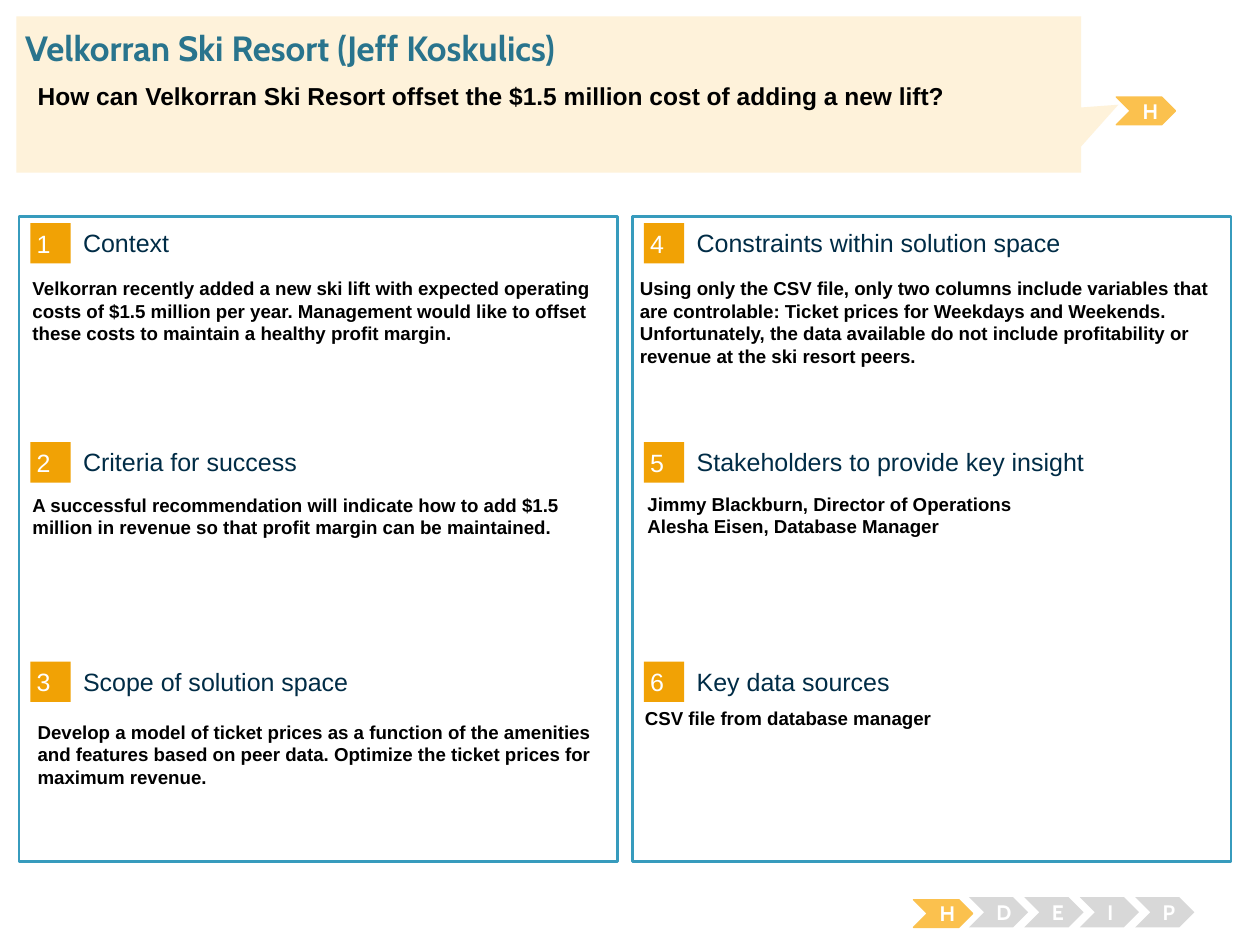
from pptx import Presentation, util as u
from pptx.dml.color import RGBColor
from pptx.enum import shapes, text

SHAPE = shapes.MSO_SHAPE
TEXT_INSETS = (0.1, 0.05, 0.1, 0.05)
AMBER, GREY = "FBC14E", "D8D8D8"
RESORT = "Velkorran Ski Resort"

# Each section: number, heading, body lines, body offset (x, y) from its panel cell, body height
PANELS = [
    [
        ("1", "Context",
         ["Velkorran recently added a new ski lift with expected operating costs of "
          "$1.5 million per year. Management would like to offset these costs to "
          "maintain a healthy profit margin."], (0.01, 0.43), 1.36),
        ("2", "Criteria for success",
         ["A successful recommendation will indicate how to add $1.5 million in revenue "
          "so that profit margin can be maintained."], (0.01, 0.41), 1.54),
        ("3", "Scope of solution space",
         ["Develop a model of ticket prices as a function of the amenities and features "
          "based on peer data. Optimize the ticket prices for maximum revenue."],
         (0.05, 0.47), 0.82),
    ],
    [
        ("4", "Constraints within solution space",
         ["Using only the CSV file, only two columns include variables that are "
          "controlable: Ticket prices for Weekdays and Weekends. Unfortunately, the data "
          "available do not include profitability or revenue at the ski resort peers."],
         (-0.04, 0.43), 1.18),
        ("5", "Stakeholders to provide key insight",
         ["Jimmy Blackburn, Director of Operations", "Alesha Eisen, Database Manager"],
         (0.02, 0.4), 1.18),
        ("6", "Key data sources", ["CSV file from database manager"], (0, 0.36), 1.18),
    ],
]


def colour(code):
    """Turn a hex string into a colour."""
    return RGBColor.from_string(code)


def write(shape, lines, size, code, font="Arial", bold=False, align="LEFT",
          anchor="TOP", insets=TEXT_INSETS):
    """Write lines into a shape, one paragraph each."""
    frame = shape.text_frame
    frame.word_wrap = True
    frame.auto_size = text.MSO_AUTO_SIZE.NONE
    frame.vertical_anchor = text.MSO_ANCHOR[anchor]
    (frame.margin_left, frame.margin_top,
     frame.margin_right, frame.margin_bottom) = map(u.Inches, insets)
    for index, line in enumerate(lines):
        para = frame.add_paragraph() if index else frame.paragraphs[0]
        para.alignment = text.PP_ALIGN[align]
        span = para.add_run()
        span.text = line
        span.font.size, span.font.name, span.font.bold = u.Pt(size), font, bold
        span.font.color.rgb = colour(code)


def add_text(page, box, lines, size, code, **style):
    """Add a text box at box (left, top, width, height)."""
    write(page.shapes.add_textbox(*map(u.Inches, box)), lines, size, code, **style)


def add_block(page, kind, box, fill, line=None, weight=0.75):
    """Add a flat preset shape and return it."""
    shape = page.shapes.add_shape(kind, *map(u.Inches, box))
    shape.shadow.inherit = False
    shape.fill.solid()
    shape.fill.fore_color.rgb = colour(fill)
    if line:
        shape.line.color.rgb = colour(line)
        shape.line.width = u.Pt(weight)
    else:
        shape.line.fill.background()
    return shape


def add_step(page, left, top, letter, active=False):
    """Add one lettered chevron, amber when active."""
    box = (left, top, 0.47, 0.22 if active else 0.24)
    fill = AMBER if active else GREY
    step = add_block(page, SHAPE.CHEVRON, box, fill, AMBER if active else None)
    write(step, [letter], 12, "FFFFFF", font="Cabin", bold=True,
          align="CENTER", anchor="MIDDLE")


def add_section(page, left, top, section):
    """Add a numbered heading and its body below a panel cell's top left corner."""
    number, heading, lines, (shift, drop), height = section
    badge = add_block(page, SHAPE.RECTANGLE, (left + 0.09, top + 0.05, 0.32, 0.32), "F1A205")
    write(badge, [number], 14.3, "FFFFFF", anchor="MIDDLE", insets=(0.05,) * 4)
    add_text(page, (left + 0.51, top + 0.08, 3.93, 0.25), [heading], 14.3, "002C46",
             anchor="MIDDLE", insets=(0,) * 4)
    add_text(page, (left + shift, top + drop, 4.73, height), lines, 10.7, "000000", bold=True)


def add_panel(page, box, sections):
    """Add an outlined panel with its sections evenly spaced."""
    left, top, _, _ = box
    add_block(page, SHAPE.RECTANGLE, box, "FFFFFF", "379BBD", 1.5)
    for row, section in enumerate(sections):
        add_section(page, left, top + row * 1.74, section)


def add_header(page, box):
    """Add the callout with the title, the question and the current step."""
    left, top, width, _ = box
    add_step(page, left + width + 0.28, top + 0.64, "H", active=True)
    callout = add_block(page, SHAPE.RECTANGULAR_CALLOUT, box, "FEF2DA")
    callout.adjustments[0], callout.adjustments[1] = 0.535, 0.066
    add_text(page, (left + 0.07, top + 0.08, 9.62, 0.34),
             [f"{RESORT} (Jeff Koskulics)"], 20, "29748D",
             font="Cabin", bold=True, insets=(0,) * 4)
    add_text(page, (left + 0.07, top + 0.46, 8.38, 0.54),
             [f"How can {RESORT} offset the $1.5 million cost of adding a new lift?"],
             14, "000000", bold=True)


def add_tracker(page, left, top):
    """Add the row of process steps with the first one active."""
    for index, letter in enumerate("HDEIP"):
        add_step(page, left + index * 0.44, top + (0 if index else 0.02), letter, index == 0)


def main():
    """Build and save the slide."""
    deck = Presentation()
    deck.slide_width, deck.slide_height = u.Inches(10), u.Inches(7.5)
    page = deck.slides.add_slide(deck.slide_layouts[6])
    for column, sections in enumerate(PANELS):
        add_panel(page, (0.15 + column * 4.87, 1.72, 4.75, 5.12), sections)
    add_tracker(page, 7.25, 7.12)
    add_header(page, (0.13, 0.13, 8.45, 1.24))
    deck.save("out.pptx")


main()
